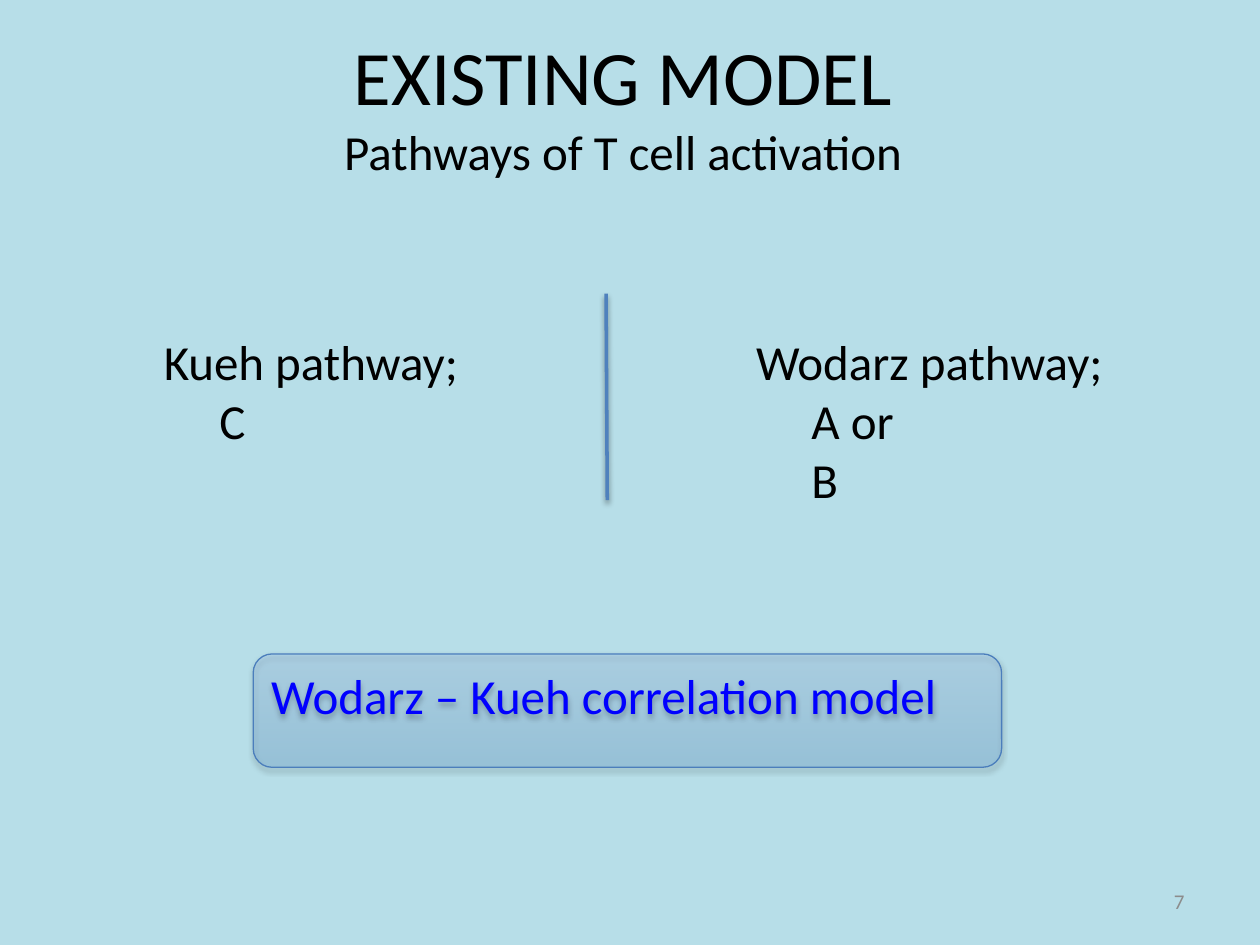
from lxml import etree
from pptx import Presentation
from pptx.dml import color
from pptx.enum import shapes, text
from pptx.oxml import ns
from pptx.util import Inches, Pt

HUES = {
    "back": "B7DEE8", "ink": "000000", "gray": "8C8C8C", "blue": "0000FF",
    "rule": "4F81BD", "edge": "4B7EBC", "low": "3F80CE", "high": "A4C4FF",
}


def hue(name):
    """Return the named colour."""
    return color.RGBColor.from_string(HUES[name])


def node(parent, tag, **attrs):
    """Add a drawing element with attributes."""
    return etree.SubElement(parent, ns.qn("a:" + tag),
                            {key: str(val) for key, val in attrs.items()})


def shade(shape, alpha, dist):
    """Give a shape or line a soft shadow straight below it."""
    props = shape._element.spPr
    for old in props.findall(ns.qn("a:effectLst")):
        props.remove(old)
    glow = node(node(props, "effectLst"), "outerShdw", blurRad=Pt(3.1),
                dist=Pt(dist), dir=90 * 60000, rotWithShape=0)
    node(node(glow, "srgbClr", val=HUES["ink"]), "alpha", val=alpha * 1000)


def write(para, words, size=28, tint="ink", align=text.PP_ALIGN.LEFT, indent=0):
    """Write formatted words in a paragraph."""
    para.alignment = align
    if indent:
        props = para._p.get_or_add_pPr()
        props.set("marL", str(Inches(indent)))
        props.set("indent", "0")
    run = para.add_run()
    run.text = words
    run.font.name = "Calibri"
    run.font.size = Pt(size)
    run.font.color.rgb = hue(tint)


def frame(shape, anchor=text.MSO_ANCHOR.TOP, left=0.1, top=0.05):
    """Set up the text frame of a shape."""
    body = shape.text_frame
    body.word_wrap = True
    body.auto_size = text.MSO_AUTO_SIZE.NONE
    body.vertical_anchor = anchor
    body.margin_left, body.margin_top = Inches(left), Inches(top)
    body.margin_right, body.margin_bottom = Inches(0.1), Inches(0.05)
    return body


def head(slide, title, sub):
    """Place the title with its second line."""
    box = slide.shapes.title
    box.left, box.top = Inches(1.18), Inches(0.18)
    box.width, box.height = Inches(7.53), Inches(1.31)
    body = frame(box)
    mid = text.PP_ALIGN.CENTER
    write(body.paragraphs[0], title, size=44, align=mid)
    write(body.add_paragraph(), sub, align=mid)


def route(slide, left, name, steps):
    """Add a pathway name with its indented steps."""
    box = slide.shapes.add_textbox(Inches(left), Inches(2.17),
                                   Inches(3.42), Inches(2.79))
    body = frame(box, left=0.54, top=0.46)
    write(body.paragraphs[0], name)
    for step in steps:
        write(body.add_paragraph(), step, indent=0.44)


def split(slide):
    """Draw the line between the pathways."""
    line = slide.shapes.add_connector(shapes.MSO_CONNECTOR.STRAIGHT, Inches(4.81),
                                      Inches(2.33), Inches(4.82), Inches(3.97))
    line.line.color.rgb = hue("rule")
    line.line.width = Pt(2)
    shade(line, 38, 1.6)


def panel(slide, words):
    """Add the rounded panel with a sheer gradient."""
    box = slide.shapes.add_shape(shapes.MSO_SHAPE.ROUNDED_RECTANGLE, Inches(2.01),
                                 Inches(5.19), Inches(5.94), Inches(0.9))
    box.shadow.inherit = False
    box.fill.gradient()
    box.fill.gradient_angle = 90
    for stop, name, spot in zip(box.fill.gradient_stops, ("low", "high"), (0, 1)):
        stop.color.rgb = hue(name)
        stop.position = spot
    for tone in box._element.spPr.iter(ns.qn("a:srgbClr")):
        node(tone, "alpha", val=18000)
    box.line.color.rgb = hue("edge")
    box.line.width = Pt(0.75)
    shade(box, 35, 1.8)
    write(frame(box).paragraphs[0], words, tint="blue")


def folio(slide, number):
    """Add the page number."""
    box = slide.shapes.add_textbox(Inches(7.17), Inches(6.95),
                                   Inches(2.33), Inches(0.4))
    body = frame(box, anchor=text.MSO_ANCHOR.MIDDLE)
    write(body.paragraphs[0], number, size=12, tint="gray",
          align=text.PP_ALIGN.RIGHT)


def main():
    """Build and save the slide."""
    deck = Presentation()
    deck.slide_width, deck.slide_height = Inches(10), Inches(7.5)
    slide = deck.slides.add_slide(deck.slide_layouts[5])
    slide.background.fill.solid()
    slide.background.fill.fore_color.rgb = hue("back")
    head(slide, "EXISTING MODEL", "Pathways of T cell activation")
    route(slide, 0.76, "Kueh pathway;", ["C"])
    route(slide, 5.46, "Wodarz pathway;", ["A or", "B"])
    split(slide)
    panel(slide, "Wodarz – Kueh correlation model")
    folio(slide, "7")
    deck.save("out.pptx")


main()
